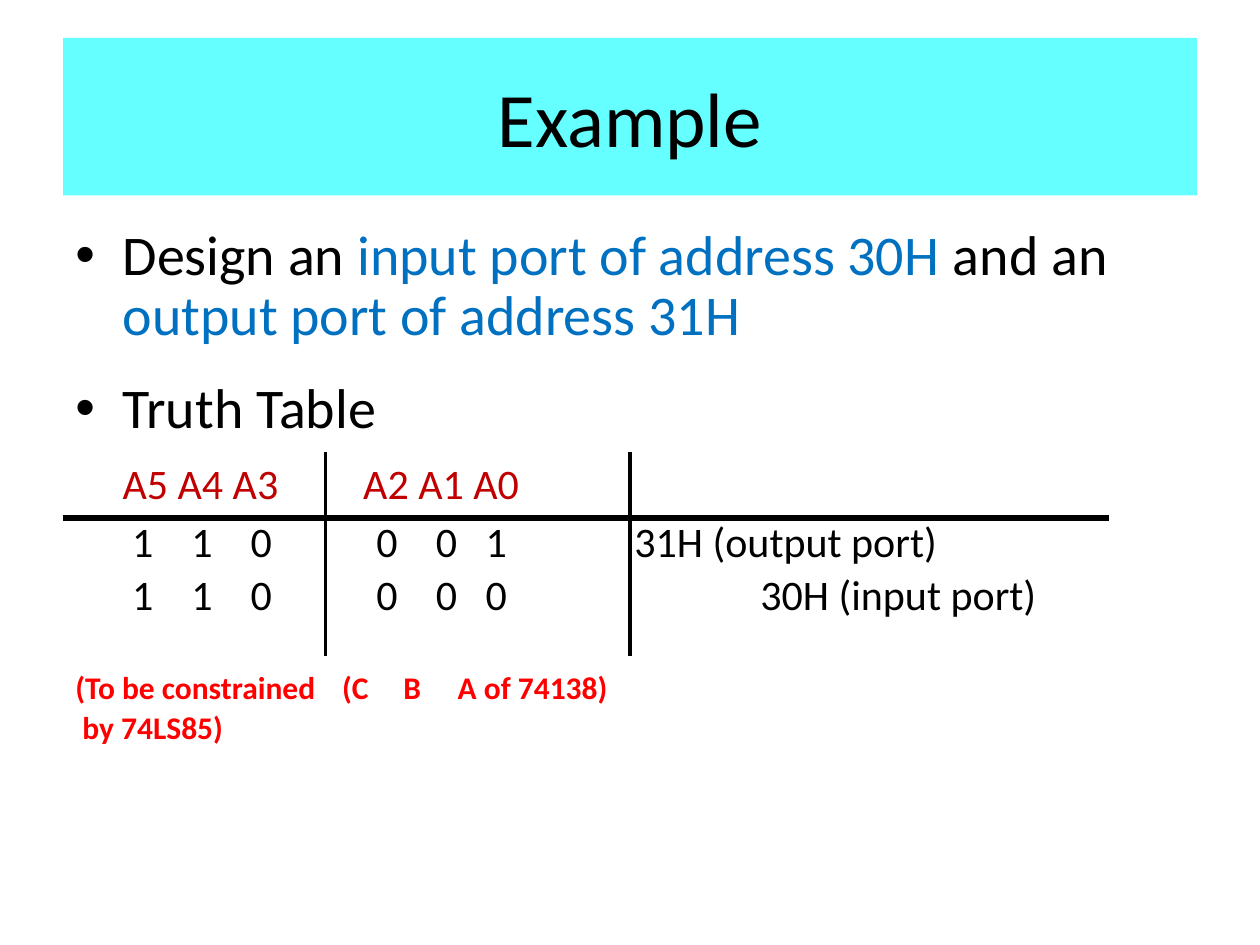
import pptx
import pptx.dml.color
import pptx.enum.shapes
import pptx.enum.text
import pptx.oxml.ns
import pptx.util
from lxml import etree

Pt = pptx.util.Pt
BLACK, BLUE, DARK_RED, RED, CYAN = "000000", "0070C0", "C00000", "FF0000", "66FFFF"


def color(value):
    return pptx.dml.color.RGBColor.from_string(value)


def add_element(parent, tag, **attributes):
    return etree.SubElement(parent, pptx.oxml.ns.qn(tag), attributes)


def write(para, text, size=32, ink=BLACK, bold=False):
    span = para.add_run()
    span.text = text
    span.font.name = "Calibri"
    span.font.size = Pt(size)
    span.font.bold = bold
    span.font.color.rgb = color(ink)


class SlideWriter:
    def __init__(self, page):
        self.page = page

    def title(self, text, left, top, width, height):
        title = self.page.shapes.title
        title.left, title.top, title.width, title.height = map(Pt, (left, top, width, height))
        title.fill.solid()
        title.fill.fore_color.rgb = color(CYAN)
        title.text_frame.vertical_anchor = pptx.enum.text.MSO_ANCHOR.MIDDLE
        para = title.text_frame.paragraphs[0]
        para.alignment = pptx.enum.text.PP_ALIGN.CENTER
        write(para, text, size=44)

    def text_box(self, left, top, width, height):
        box = self.page.shapes.add_textbox(*map(Pt, (left, top, width, height)))
        box.text_frame.word_wrap = True
        return box.text_frame

    def paragraph(self, frame, spans, before=0, after=0, bullet=False, tabs=(), **style):
        first = frame.paragraphs[0]
        para = frame.add_paragraph() if first.runs else first
        properties = para._p.get_or_add_pPr()
        if bullet:
            properties.set("marL", str(Pt(27)))
            properties.set("indent", str(-Pt(27)))
            add_element(properties, "a:buFont", typeface="Arial")
            add_element(properties, "a:buChar", char="•")
        if tabs:
            stops = add_element(properties, "a:tabLst")
            for stop in tabs:
                add_element(stops, "a:tab", pos=str(Pt(stop)), algn="l")
        para.line_spacing = 0.9
        para.space_before = Pt(before)
        para.space_after = Pt(after)
        for text, ink in spans:
            write(para, text, ink=ink, **style)

    def line(self, start, end, width):
        line = self.page.shapes.add_connector(
            pptx.enum.shapes.MSO_CONNECTOR.STRAIGHT, *map(Pt, start + end))
        line.line.color.rgb = color(BLACK)
        line.line.width = Pt(width)
        add_element(line._element.spPr, "a:effectLst")


def main():
    deck = pptx.Presentation()
    deck.slide_width, deck.slide_height = Pt(720), Pt(540)
    writer = SlideWriter(deck.slides.add_slide(deck.slide_layouts[5]))
    writer.title("Example", 36, 21.6, 648, 90)

    body = writer.text_box(36, 126, 684, 356)
    writer.paragraph(body, [
        ("Design an ", BLACK), ("input port of address 30H ", BLUE),
        ("and an ", BLACK), ("output port of address 31H", BLUE),
    ], after=12, bullet=True)
    writer.paragraph(body, [("Truth Table", BLACK)], before=6.4, bullet=True)

    writer.paragraph(body, [("\tA5 A4 A3\tA2 A1 A0", DARK_RED)],
                     before=13, tabs=(27, 164.5), size=24)
    bit_stops = (32.4, 66.3, 100.2, 172, 206, 234.5)
    rows = [("110001", "31H (output port)", 319.5, 7),
            ("110000", "30H (input port)", 391.5, 4.8)]
    for bits, port, port_stop, before in rows:
        text = "\t" + "\t".join([*bits, port])
        writer.paragraph(body, [(text, BLACK)], before=before,
                         tabs=bit_stops + (port_stop,), size=24)

    writer.paragraph(body, [("(To be constrained\t(C\tB\tA of 74138)", RED)],
                     before=30, tabs=(152.5, 187.5, 218.5), size=18, bold=True)
    writer.paragraph(body, [(" by 74LS85)", RED)], before=3.6, size=18, bold=True)

    writer.line((36, 296), (634, 296), 3)
    for x in (186, 360):
        writer.line((x, 258.5), (x, 375), 2.25)

    deck.save("out.pptx")


if __name__ == "__main__":
    main()
